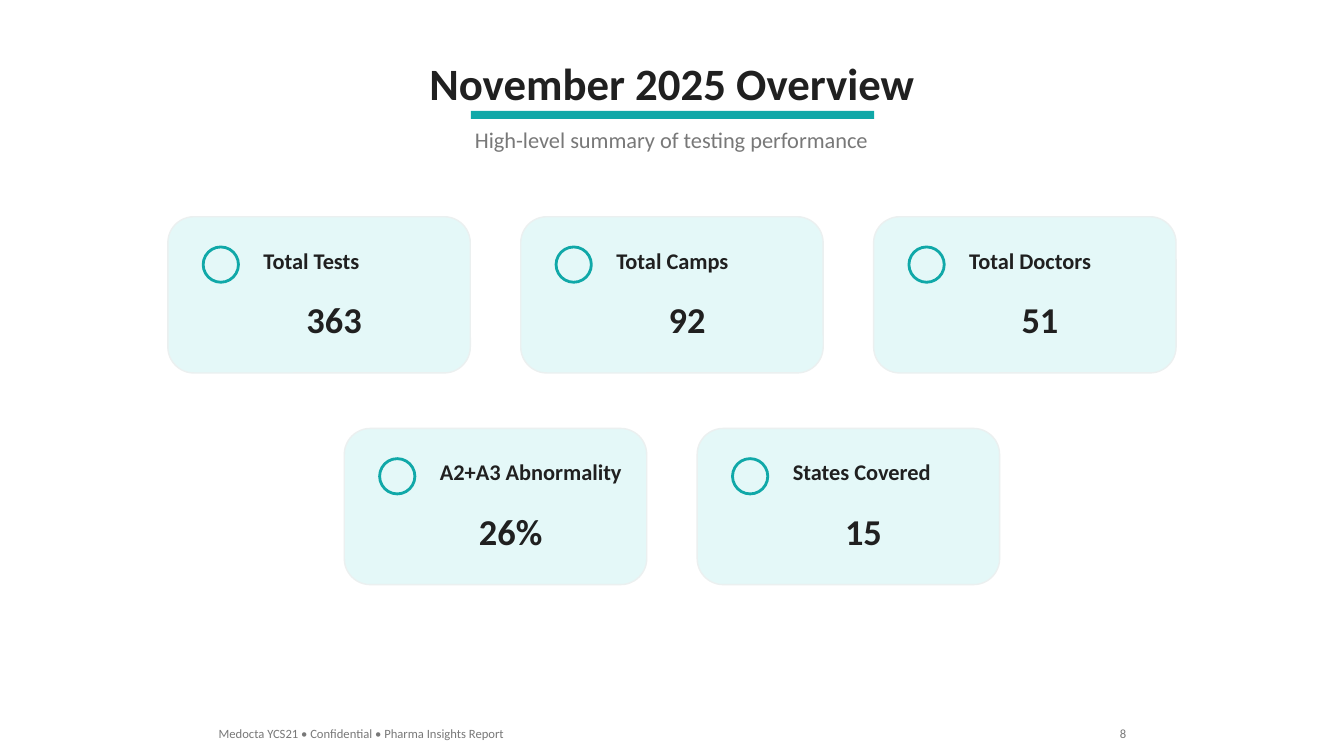
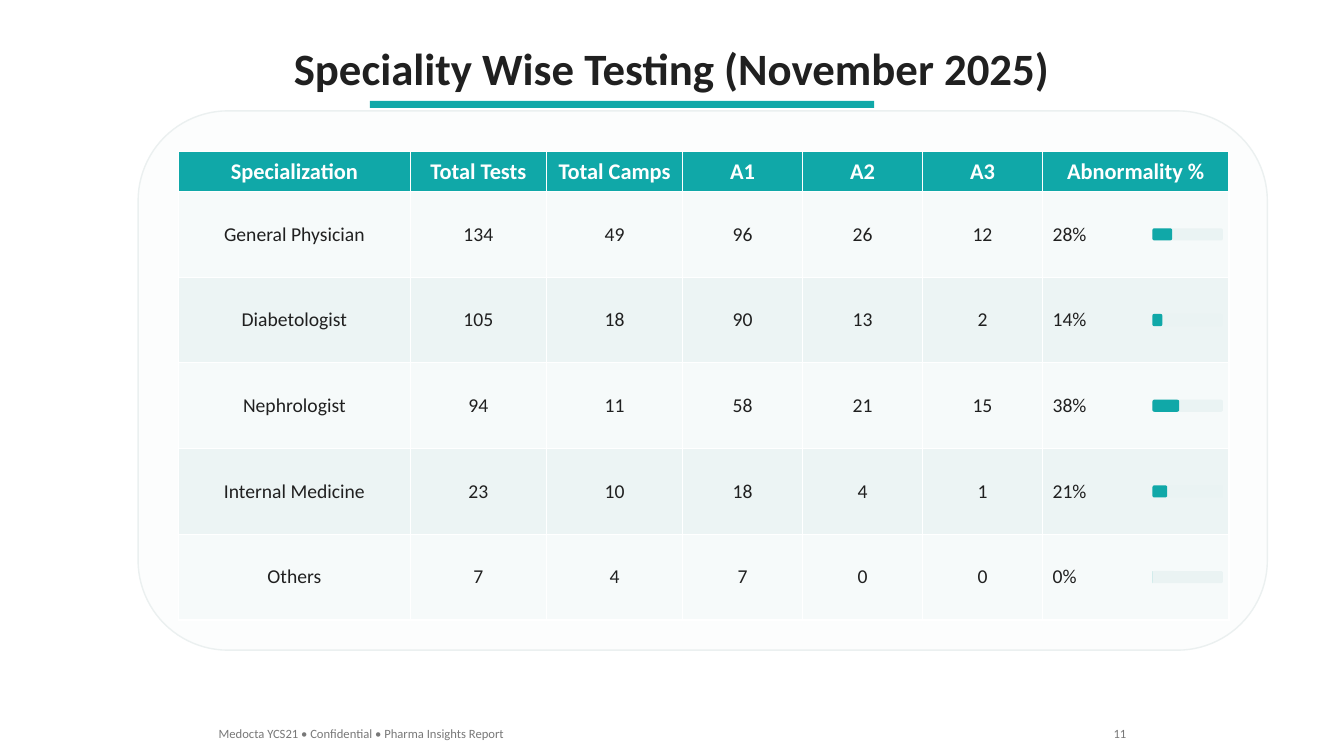
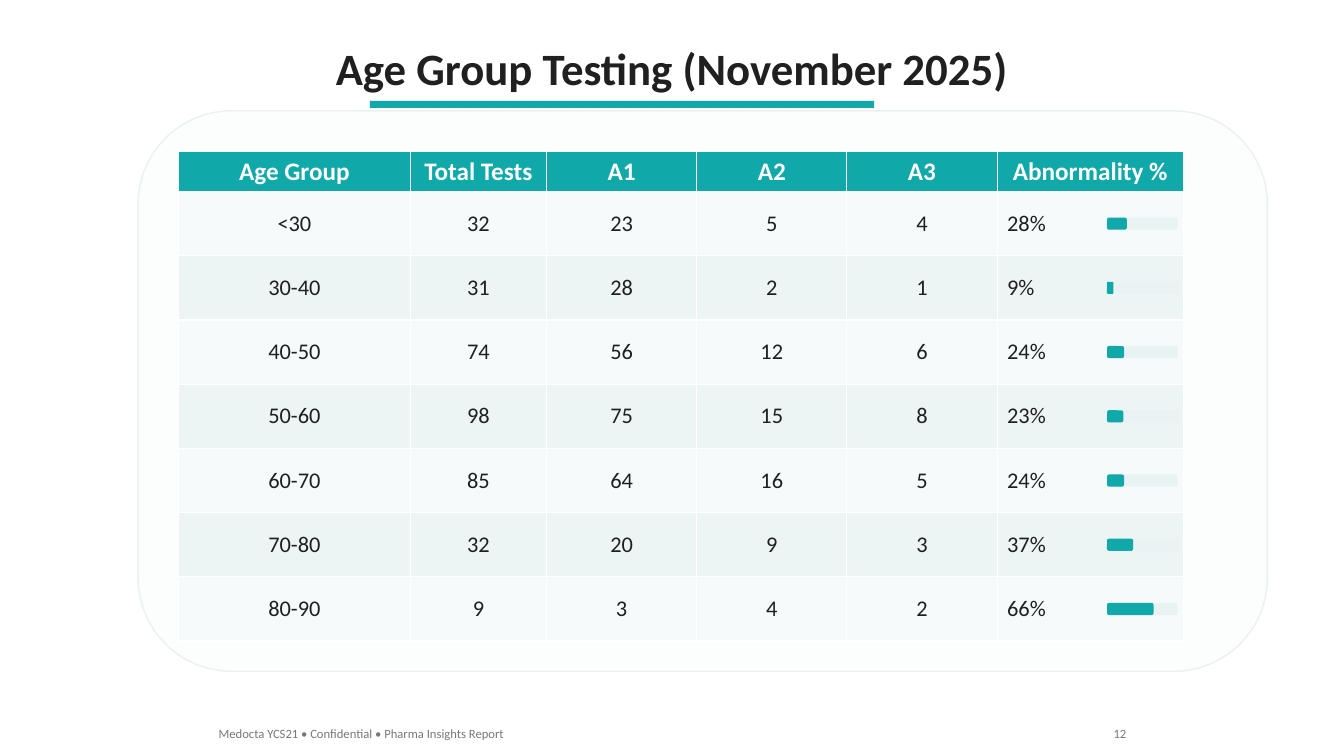
"""Build the November 2025 testing report: an overview and two breakdown tables."""
from pptx import Presentation
from pptx.dml.color import RGBColor
from pptx.enum.shapes import MSO_SHAPE
from pptx.enum.text import MSO_ANCHOR, MSO_AUTO_SIZE, PP_ALIGN
from pptx.util import Inches, Pt

LEFT, CENTER, RIGHT = PP_ALIGN.LEFT, PP_ALIGN.CENTER, PP_ALIGN.RIGHT
MIDDLE, TOP = MSO_ANCHOR.MIDDLE, MSO_ANCHOR.TOP
FIT_SHAPE = MSO_AUTO_SIZE.SHAPE_TO_FIT_TEXT
RECT, ROUND, OVAL = MSO_SHAPE.RECTANGLE, MSO_SHAPE.ROUNDED_RECTANGLE, MSO_SHAPE.OVAL

TEAL = RGBColor(0x10, 0xA8, 0xA8)
INK = RGBColor(0x20, 0x20, 0x20)
GREY = RGBColor(0x78, 0x78, 0x78)
WHITE = RGBColor(0xFF, 0xFF, 0xFF)
CARD = RGBColor(0xE4, 0xF8, 0xF8)
PANEL = RGBColor(0xFC, 0xFD, 0xFD)
EDGE = RGBColor(0xEB, 0xF0, 0xF0)
TRACK = RGBColor(0xEA, 0xF3, 0xF3)
STRIPES = RGBColor(0xF6, 0xFA, 0xFA), RGBColor(0xEC, 0xF4, 0xF4)

SLIDE_W, SLIDE_H = 13.33, 7.5
MID = SLIDE_W / 2


def style(size, color, bold=False):
    return {"name": "Calibri", "size": Pt(size), "bold": bold, "color": color}


TITLE, SUBTITLE, FOOTER = style(32, INK, True), style(16, GREY), style(9, GREY)
CARD_LABEL, CARD_VALUE = style(16, INK, True), style(26, INK, True)

FOOTER_TEXT = "Medocta YCS21 • Confidential • Pharma Insights Report"

OVERVIEW = {
    "title": "November 2025 Overview", "title_box": (0.5, 5.06), "page": "8",
    "rule": (4.67, 1.1, 4, 0.08),
    "subtitle": "High-level summary of testing performance",
    "cards": [
        [("Total Tests", 1.16, "363"), ("Total Camps", 1.33, "92"),
         ("Total Doctors", 1.43, "51")],
        [("A2+A3 Abnormality", 2.03, "26%"), ("States Covered", 1.59, "15")],
    ],
}
TABLE_RULE = (3.67, 1, 5, 0.07)
BREAKDOWNS = [
    {
        "title": "Speciality Wise Testing (November 2025)", "title_box": (0.35, 7.77),
        "page": "11", "rule": TABLE_RULE, "sizes": (16, 14), "height": 4.65,
        "columns": [("Specialization", 2.3), ("Total Tests", 1.35), ("Total Camps", 1.35),
                    ("A1", 1.19), ("A2", 1.19), ("A3", 1.19), ("Abnormality %", 1.85)],
        "rows": [
            ("General Physician", 134, 49, 96, 26, 12, 28),
            ("Diabetologist", 105, 18, 90, 13, 2, 14),
            ("Nephrologist", 94, 11, 58, 21, 15, 38),
            ("Internal Medicine", 23, 10, 18, 4, 1, 21),
            ("Others", 7, 4, 7, 0, 0, 0),
        ],
    },
    {
        "title": "Age Group Testing (November 2025)", "title_box": (0.35, 6.93),
        "page": "12", "rule": TABLE_RULE, "sizes": (18, 16), "height": 4.86,
        "columns": [("Age Group", 2.3), ("Total Tests", 1.35), ("A1", 1.49),
                    ("A2", 1.49), ("A3", 1.49), ("Abnormality %", 1.85)],
        "rows": [
            ("<30", 32, 23, 5, 4, 28),
            ("30-40", 31, 28, 2, 1, 9),
            ("40-50", 74, 56, 12, 6, 24),
            ("50-60", 98, 75, 15, 8, 23),
            ("60-70", 85, 64, 16, 5, 24),
            ("70-80", 32, 20, 9, 3, 37),
            ("80-90", 9, 3, 4, 2, 66),
        ],
    },
]

CARD_W, CARD_H, CARD_PITCH_X, CARD_PITCH_Y, CARDS_TOP = 3, 1.55, 3.5, 2.1, 2.15
TABLE_X, TABLE_Y, HEADER_H = 1.77, 1.5, 0.4
PANEL_W, PANEL_PAD_X, PANEL_PAD_TOP, PANEL_PAD_BOTTOM = 11.2, 0.4, 0.4, 0.3
BAR_W, BAR_H, BAR_INSET = 0.7, 0.12, 0.76


def write(frame, text, look, align):
    paragraph = frame.paragraphs[0]
    paragraph.alignment = align
    run = paragraph.add_run()
    run.text = text
    for key, value in look.items():
        if key == "color":
            run.font.color.rgb = value
        else:
            setattr(run.font, key, value)


def fit_text(holder, text, look, align):
    frame = holder.text_frame
    for key, value in {"word_wrap": False, "auto_size": FIT_SHAPE,
                       "vertical_anchor": TOP}.items():
        setattr(frame, key, value)
    write(frame, text, look, align)


def add_text(slide, box, text, look, align=LEFT):
    fit_text(slide.shapes.add_textbox(*map(Inches, box)), text, look, align)


def add_block(slide, kind, box, fill=None, line=None, weight=1):
    block = slide.shapes.add_shape(kind, *map(Inches, box))
    block.shadow.inherit = False
    if fill is None:
        block.fill.background()
    else:
        block.fill.solid()
        block.fill.fore_color.rgb = fill
    if line is None:
        block.line.fill.background()
    else:
        block.line.color.rgb = line
        block.line.width = Pt(weight)


def start_slide(deck, content):
    slide = deck.slides.add_slide(deck.slide_layouts[5])
    top, width = content["title_box"]
    heading = slide.shapes.title
    for key, value in {"left": MID - width / 2, "top": top,
                       "width": width, "height": 0.64}.items():
        setattr(heading, key, Inches(value))
    fit_text(heading, content["title"], TITLE, CENTER)
    add_block(slide, RECT, content["rule"], TEAL)
    add_text(slide, (2.07, 7.15, 3.05, 0.25), FOOTER_TEXT, FOOTER)
    page_w = 0.21 + 0.06 * len(content["page"])
    add_text(slide, (11.27 - page_w, 7.15, page_w, 0.25), content["page"], FOOTER, RIGHT)
    return slide


def add_card(slide, x, y, label, label_w, value):
    add_block(slide, ROUND, (x, y, CARD_W, CARD_H), CARD, EDGE)
    add_block(slide, OVAL, (x + 0.35, y + 0.3, 0.35, 0.35), line=TEAL, weight=2)
    add_text(slide, (x + 0.85, y + 0.25, label_w, 0.37), label, CARD_LABEL)
    value_w = 0.3 + 0.2 * len(value)
    add_text(slide, (x + 1.65 - value_w / 2, y + 0.75, value_w, 0.54),
             value, CARD_VALUE, CENTER)


def build_overview(deck, content):
    slide = start_slide(deck, content)
    add_text(slide, (MID - 2.08, 1.2, 4.15, 0.37), content["subtitle"], SUBTITLE, CENTER)
    for row, cards in enumerate(content["cards"]):
        row_w = (len(cards) - 1) * CARD_PITCH_X + CARD_W
        for col, card in enumerate(cards):
            add_card(slide, MID - row_w / 2 + col * CARD_PITCH_X,
                     CARDS_TOP + row * CARD_PITCH_Y, *card)


def fill_cell(cell, text, look, fill, align):
    cell.fill.solid()
    cell.fill.fore_color.rgb = fill
    cell.vertical_anchor = MIDDLE
    write(cell.text_frame, text, look, align)


def build_breakdown(deck, content):
    slide = start_slide(deck, content)
    columns, rows, height = content["columns"], content["rows"], content["height"]
    header_look = style(content["sizes"][0], WHITE, True)
    body_look = style(content["sizes"][1], INK)
    width = sum(column_w for _, column_w in columns)
    row_h = (height - HEADER_H) / len(rows)

    add_block(slide, ROUND, (TABLE_X - PANEL_PAD_X, TABLE_Y - PANEL_PAD_TOP, PANEL_W,
                             height + PANEL_PAD_TOP + PANEL_PAD_BOTTOM), PANEL, EDGE)
    table = slide.shapes.add_table(len(rows) + 1, len(columns), *map(
        Inches, (TABLE_X, TABLE_Y, width, height))).table
    table.rows[0].height = Inches(HEADER_H)
    for col, (name, column_w) in enumerate(columns):
        table.columns[col].width = Inches(column_w)
        fill_cell(table.cell(0, col), name, header_look, TEAL, CENTER)

    bar_x = TABLE_X + width - BAR_INSET
    for row, (*counts, percent) in enumerate(rows):
        table.rows[row + 1].height = Inches(row_h)
        stripe = STRIPES[row % 2]
        for col, count in enumerate(counts):
            fill_cell(table.cell(row + 1, col), str(count), body_look, stripe, CENTER)
        fill_cell(table.cell(row + 1, len(counts)), f"{percent}%", body_look, stripe, LEFT)
        bar_y = TABLE_Y + HEADER_H + (row + 0.5) * row_h - BAR_H / 2
        for share, color in ((1, TRACK), (percent / 100, TEAL)):
            add_block(slide, ROUND, (bar_x, bar_y, BAR_W * share, BAR_H), color)


def main():
    deck = Presentation()
    deck.slide_width, deck.slide_height = Inches(SLIDE_W), Inches(SLIDE_H)
    build_overview(deck, OVERVIEW)
    for content in BREAKDOWNS:
        build_breakdown(deck, content)
    deck.save("out.pptx")


if __name__ == "__main__":
    main()
